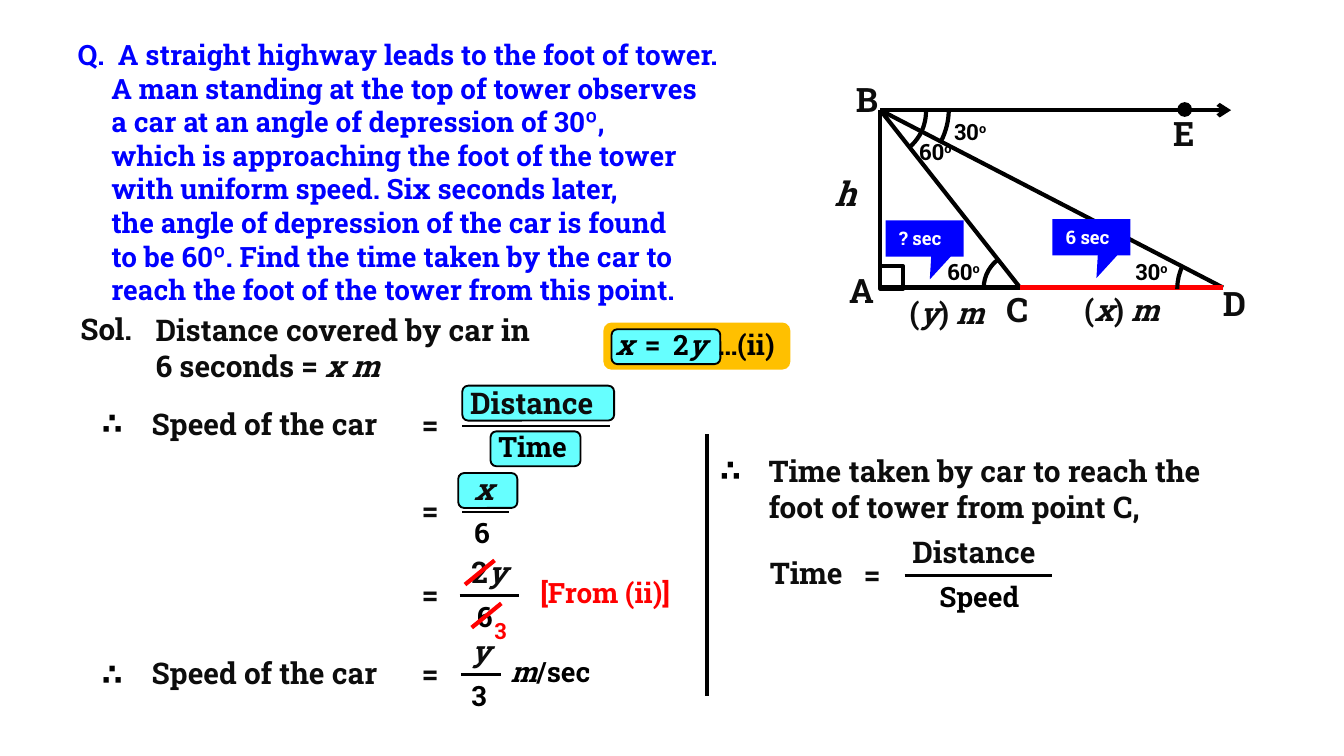
from lxml import etree
from pptx import Presentation
from pptx.dml.color import RGBColor
from pptx.enum.shapes import MSO_CONNECTOR, MSO_SHAPE
from pptx.enum.text import MSO_ANCHOR, MSO_AUTO_SIZE, PP_ALIGN
from pptx.oxml.ns import qn
from pptx.util import Inches, Pt

STRAIGHT = MSO_CONNECTOR.STRAIGHT
RECTANGLE, ROUNDED = MSO_SHAPE.RECTANGLE, MSO_SHAPE.ROUNDED_RECTANGLE
ELLIPSE, ARC, CALLOUT = MSO_SHAPE.OVAL, MSO_SHAPE.ARC, MSO_SHAPE.RECTANGULAR_CALLOUT
LEFT, JUSTIFY, MIDDLE = PP_ALIGN.LEFT, PP_ALIGN.JUSTIFY, MSO_ANCHOR.MIDDLE
FIT = MSO_AUTO_SIZE.SHAPE_TO_FIT_TEXT

FONT = "Roboto Slab"
BLACK, INK, BLUE, RED = "000000", "0D0D0D", "0000FF", "FF0000"
CYAN, AMBER, WHITE = "66FFFF", "FFC000", "FFFFFF"

QUESTION = [
    "Q.\tA straight highway leads to the foot of tower.",
    "A man standing at the top of tower observes",
    "a car at an angle of depression of 30º,",
    "which is approaching the foot of the tower",
    "with uniform speed. Six seconds later,",
    "the angle of depression of the car is found",
    "to be 60º. Find the time taken by the car to",
    "reach the foot of the tower from this point.",
]
HANGING, INDENT = 0.3, 0.25

TOP, BASE = 0.82, 2.14
POINT_B, POINT_A, POINT_C, POINT_D = (6.55, TOP), (6.55, BASE), (7.59, BASE), (9.1, BASE)
SIGHT_END = (9.16, TOP)
TRIANGLE = [(POINT_B, POINT_A), (POINT_B, POINT_C), (POINT_B, POINT_D), (POINT_A, POINT_D)]
ARCS = [
    (8.76, 1.77, 0.75, 199.852, 0.559),
    (7.32, 1.88, 0.53, 183.694, 0),
    (6.03, 0.3, 1.03, 91.801, 107.793),
    (6.19, 0.48, 0.7, 77.234, 108.656),
]
VERTICES = [("A", 6.22, 1.96, 0.4), ("D", 9, 2.06, 0.42), ("C", 7.39, 2.1, 0.44),
            ("B", 6.27, 0.54, 0.37), ("E", 8.63, 0.79, 0.36), ("*h*", 6.11, 1.24, 0.38)]
ANGLES = [("30^o^", 8.35, 1.87, 0.53), ("30^o^", 7, 0.83, 0.49),
          ("60^o^", 6.74, 0.98, 0.52), ("60^o^", 6.95, 1.87, 0.55)]
LENGTHS = [("(*x*)* m*", 7.97, 2.12, 0.82), ("(*y*)* m*", 6.67, 2.14, 0.79)]
TIMES = [("6 sec", 7.83, 1.63), ("? sec", 6.59, 1.64)]

PILLS = [(3.65, 3.21, 0.67), (3.44, 2.87, 1.13), (3.41, 3.52, 0.44), (4.55, 2.45, 0.81)]
EQUATION = [("*x*", 4.48, 0.33), ("2*y*", 4.91, 0.49), ("=", 4.7, 0.33), ("…(ii)", 5.24, 0.72)]
STATEMENTS = [
    (["Distance covered by car in", "6 seconds = *x m*"], 1.06, 2.27, 3.54),
    (["Time taken by car to reach the", "foot of tower from point C,"], 5.62, 3.32, 3.88),
    (["Sol."], 0.5, 2.26, 0.69),
]
REASONS = [(0.66, 2.96), (0.66, 4.83), (5.26, 3.31)]

SPEED_LABEL = ("Speed of the car", 1.03, 2.15)
FRACTIONS = [
    {"bar": (3.44, 4.54, 3.17), "equals": 3.04, "label": SPEED_LABEL,
     "upper": ("Distance", 3.4, 1.31), "lower": ("Time", 3.61, 0.82)},
    {"bar": (3.44, 3.79, 3.81), "equals": 3.04, "label": None,
     "upper": ("*x*", 3.43, 0.35), "lower": ("6", 3.43, 0.3)},
    {"bar": (3.42, 3.86, 4.43), "equals": 3.04, "label": None,
     "upper": ("2*y*", 3.41, 0.56), "lower": ("6", 3.45, 0.3)},
    {"bar": (3.43, 3.73, 5.02), "equals": 3.04, "label": SPEED_LABEL,
     "upper": ("*y*", 3.41, 0.37), "lower": ("3", 3.41, 0.3)},
    {"bar": (6.73, 7.83, 4.28), "equals": 6.33, "label": ("Time", 5.63, 0.8),
     "upper": ("Distance", 6.69, 1.31), "lower": ("Speed", 6.89, 0.88)},
]
STRIKES = [(3.46, 4.17), (3.51, 4.49)]


def colour(value):
    return RGBColor.from_string(value)


def write(para, text, size, ink):
    """Fill a paragraph; * toggles italic and ^ toggles superscript."""
    for slant, piece in enumerate(text.split("*")):
        for lift, part in enumerate(piece.split("^")):
            if not part:
                continue
            span = para.add_run()
            span.text = part
            formats = {"name": FONT, "size": Pt(size), "bold": True, "italic": slant % 2 == 1}
            for name, value in formats.items():
                setattr(span.font, name, value)
            span.font.color.rgb = colour(ink)
            if lift % 2:
                span.font._element.set("baseline", "30000")


def add_text(page, lines, left, top, width, size=16, ink=INK):
    height = 0.1 + len(lines) * size / 60
    box = page.shapes.add_textbox(*map(Inches, (left, top, width, height)))
    frame = box.text_frame
    frame.word_wrap, frame.auto_size = True, FIT
    for index, line in enumerate(lines):
        para = frame.add_paragraph() if index else frame.paragraphs[0]
        write(para, line, size, ink)
    return frame


def add_figure(page, kind, left, top, width, height, fill=None, line=None, weight=1):
    figure = page.shapes.add_shape(kind, *map(Inches, (left, top, width, height)))
    figure.shadow.inherit = False
    if fill:
        figure.fill.solid()
        figure.fill.fore_color.rgb = colour(fill)
    else:
        figure.fill.background()
    if line:
        figure.line.color.rgb = colour(line)
        figure.line.width = Pt(weight)
    else:
        figure.line.fill.background()
    return figure


def add_line(page, start, end, ink=BLACK, weight=2.25, arrow=False):
    line = page.shapes.add_connector(STRAIGHT, *map(Inches, (*start, *end)))
    line.line.color.rgb = colour(ink)
    line.line.width = Pt(weight)
    if arrow:
        etree.SubElement(line.line._get_or_add_ln(), qn("a:tailEnd"), type="arrow")
    etree.SubElement(line._element.spPr, qn("a:effectLst"))


def draw_diagram(page):
    add_figure(page, RECTANGLE, 6.55, 1.98, 0.17, 0.17, line=BLACK, weight=2)
    for start, end in TRIANGLE:
        add_line(page, start, end)
    add_line(page, POINT_B, SIGHT_END, arrow=True)
    add_line(page, POINT_C, POINT_D, RED)
    add_figure(page, ELLIPSE, 8.76, 0.76, 0.11, 0.11, BLACK)
    for left, top, side, start, end in ARCS:
        arc = add_figure(page, ARC, left, top, side, side, line=BLACK, weight=2.25)
        arc.adjustments[0], arc.adjustments[1] = start, end
        arc._element.spPr.xfrm.set("flipH", "1")
    for labels, size, ink in ((VERTICES, 18, INK), (ANGLES, 12, BLACK), (LENGTHS, 16, INK)):
        for text, left, top, width in labels:
            add_text(page, [text], left, top, width, size, ink)
    for text, left, top in TIMES:
        callout = add_figure(page, CALLOUT, left, top, 0.58, 0.27, BLUE)
        callout.adjustments[0], callout.adjustments[1] = 0.066, 1.127
        frame = callout.text_frame
        frame.word_wrap, frame.auto_size, frame.vertical_anchor = False, FIT, MIDDLE
        frame.paragraphs[0].alignment = LEFT
        write(frame.paragraphs[0], text, 10, WHITE)


def draw_question(page):
    frame = add_text(page, QUESTION, 0.48, 0.23, 5.76, 15, BLUE)
    for index, para in enumerate(frame.paragraphs):
        para.alignment = JUSTIFY
        margin, indent = (INDENT, 0) if index else (HANGING, -HANGING)
        properties = para._p.get_or_add_pPr()
        properties.set("marL", str(Inches(margin)))
        properties.set("indent", str(Inches(indent)))


def draw_fraction(page, bar, equals, label, upper, lower):
    start, end, height = bar
    add_line(page, (start, height), (end, height), weight=1.5)
    parts = [(("=", equals, 0.33), -0.19, 16, INK), (upper, -0.36, 16, INK),
             (lower, -0.02, 15, BLACK), (label, -0.2, 16, INK)]
    for part, offset, size, ink in parts:
        if part:
            text, left, width = part
            add_text(page, [text], left, height + offset, width, size, ink)


def draw_working(page):
    add_figure(page, ROUNDED, 4.49, 2.4, 1.39, 0.35, AMBER)
    for left, top, width in PILLS:
        add_figure(page, ROUNDED, left, top, width, 0.26, CYAN, BLACK)
    for text, left, width in EQUATION:
        add_text(page, [text], left, 2.39, width, 15, BLACK)
    for lines, left, top, width in STATEMENTS:
        add_text(page, lines, left, top, width)
    for left, top in REASONS:
        add_text(page, ["∴"], left, top, 0.38, ink=BLACK)
    for fraction in FRACTIONS:
        draw_fraction(page, **fraction)
    add_text(page, ["[From (ii)]"], 3.92, 4.23, 1.33, 15, RED)
    add_text(page, ["*m*/sec"], 3.7, 4.82, 0.92, 15, BLACK)
    for left, top in STRIKES:
        add_line(page, (left + 0.22, top), (left, top + 0.18), RED)
    add_text(page, ["3"], 3.58, 4.54, 0.3, 12, RED)
    add_line(page, (5.26, 3.23), (5.26, 5.18))


def main():
    deck = Presentation()
    deck.slide_width = Inches(10)
    deck.slide_height = deck.slide_width * 9 // 16
    page = deck.slides.add_slide(deck.slide_layouts[6])
    draw_diagram(page)
    draw_working(page)
    draw_question(page)
    deck.save("out.pptx")


if __name__ == "__main__":
    main()
